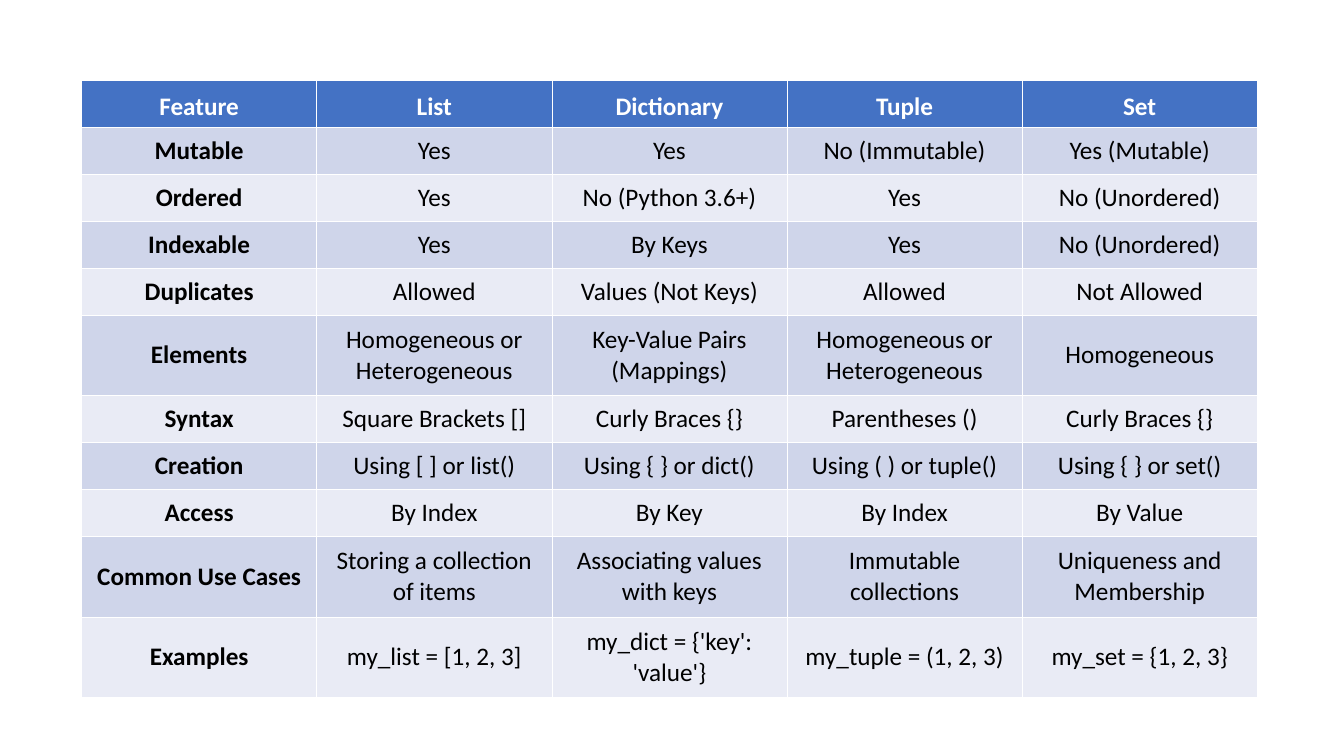
from lxml.etree import SubElement
from pptx import Presentation
from pptx.dml.color import RGBColor
from pptx.enum.text import MSO_ANCHOR as Anchor, PP_ALIGN as Align
from pptx.oxml.ns import qn
from pptx.util import Inches, Pt

WHITE, BLACK, BLUE = "FFFFFF", "000000", "4472C4"
BANDS = ("E9EBF5", "CFD5EA")
THIN, THICK = 0.45, 1.47
WIDTH, HEIGHT, TALL = 11.67, 6.12, 0.8
TALL_ROWS = ("Elements", "Common Use Cases", "Examples")

ROWS = [
    ("Feature", "List", "Dictionary", "Tuple", "Set"),
    ("Mutable", "Yes", "Yes", "No (Immutable)", "Yes (Mutable)"),
    ("Ordered", "Yes", "No (Python 3.6+)", "Yes", "No (Unordered)"),
    ("Indexable", "Yes", "By Keys", "Yes", "No (Unordered)"),
    ("Duplicates", "Allowed", "Values (Not Keys)", "Allowed", "Not Allowed"),
    ("Elements", "Homogeneous or Heterogeneous", "Key-Value Pairs (Mappings)",
     "Homogeneous or Heterogeneous", "Homogeneous"),
    ("Syntax", "Square Brackets []", "Curly Braces {}", "Parentheses ()",
     "Curly Braces {}"),
    ("Creation", "Using [ ] or list()", "Using { } or dict()",
     "Using ( ) or tuple()", "Using { } or set()"),
    ("Access", "By Index", "By Key", "By Index", "By Value"),
    ("Common Use Cases", "Storing a collection of items",
     "Associating values with keys", "Immutable collections",
     "Uniqueness and Membership"),
    ("Examples", "my_list = [1, 2, 3]", "my_dict = {'key': 'value'}",
     "my_tuple = (1, 2, 3)", "my_set = {1, 2, 3}"),
]


def color(code):
    return RGBColor.from_string(code)


def add_edge(cell, side, width):
    props = cell._tc.get_or_add_tcPr()
    line = SubElement(props, qn(f"a:ln{side}"), w=str(Pt(width)))
    fill = SubElement(line, qn("a:solidFill"))
    SubElement(fill, qn("a:srgbClr"), val=WHITE)


def set_text(cell, text, ink, bold):
    para = cell.text_frame.paragraphs[0]
    para.alignment = Align.CENTER
    run = para.add_run()
    run.text = text
    font = run.font
    font.name, font.size, font.bold = "Calibri", Pt(18), bold
    font.color.rgb = color(ink)


def set_cell(cell, text, row, col):
    head = row == 0
    cell.vertical_anchor = Anchor.BOTTOM if head else Anchor.MIDDLE
    # The schema wants the edges ahead of the fill.
    edges = {"L": THIN, "R": THIN,
             "T": THICK if row == 1 else THIN,
             "B": THICK if head else THIN}
    for side, width in edges.items():
        add_edge(cell, side, width)
    cell.fill.solid()
    cell.fill.fore_color.rgb = color(BLUE if head else BANDS[row % 2])
    set_text(cell, text, WHITE if head else BLACK, head or col == 0)


def add_grid(slide, rows):
    count = len(rows[0])
    table = slide.shapes.add_table(
        len(rows), count, Inches(0.81), Inches(0.8),
        Inches(WIDTH), Inches(HEIGHT)).table
    for col in table.columns:
        col.width = Inches(WIDTH / count)
    short = (HEIGHT - TALL * len(TALL_ROWS)) / (len(rows) - len(TALL_ROWS))
    for r, row in enumerate(rows):
        table.rows[r].height = Inches(TALL if row[0] in TALL_ROWS else short)
        for c, text in enumerate(row):
            set_cell(table.cell(r, c), text, r, c)


def main():
    deck = Presentation()
    deck.slide_width, deck.slide_height = Inches(13.34), Inches(7.5)
    slide = deck.slides.add_slide(deck.slide_layouts[6])
    add_grid(slide, ROWS)
    deck.save("out.pptx")


if __name__ == "__main__":
    main()
